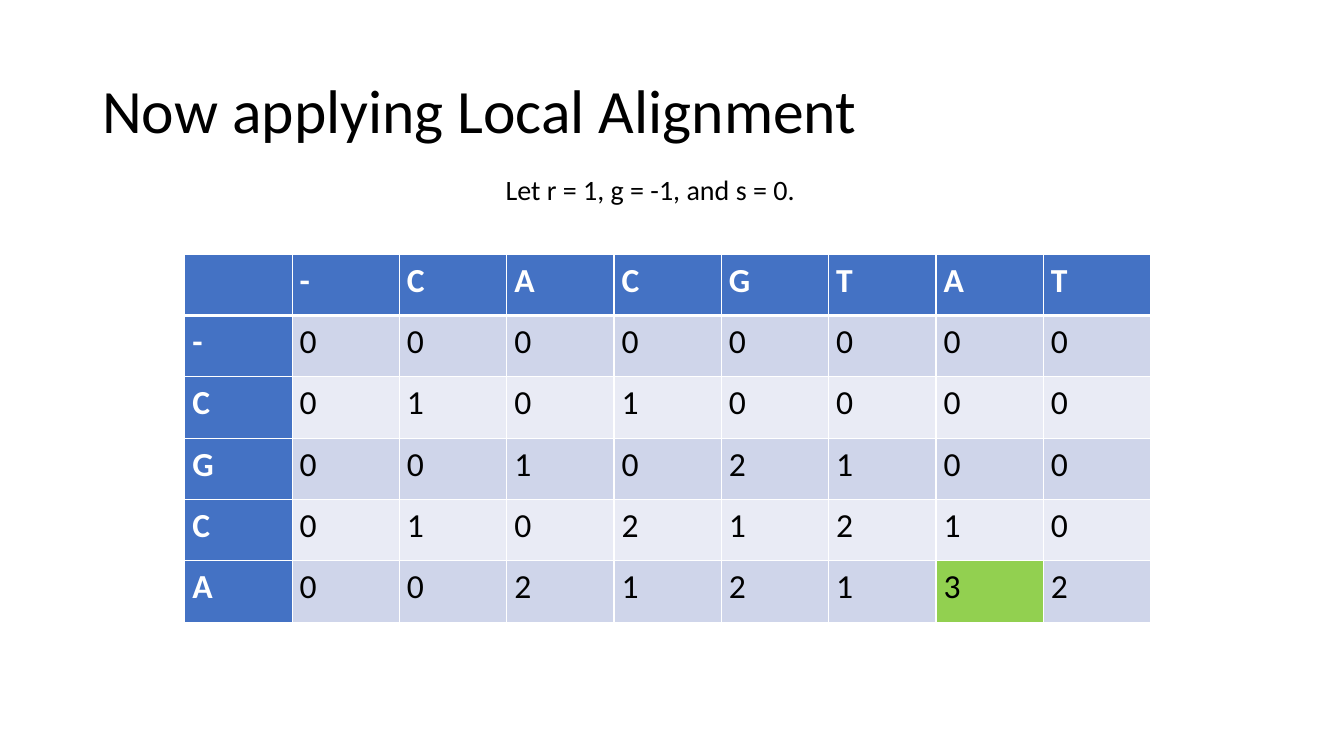
from lxml import etree
from pptx import Presentation
from pptx import util as u
from pptx.dml.color import RGBColor
from pptx.enum import text
from pptx.oxml import ns

BLACK = RGBColor(0x00, 0x00, 0x00)
WHITE = RGBColor(0xFF, 0xFF, 0xFF)
BLUE = RGBColor(0x44, 0x72, 0xC4)
BAND_DARK = RGBColor(0xCF, 0xD5, 0xEA)
BAND_LIGHT = RGBColor(0xE9, 0xEB, 0xF5)
GREEN = RGBColor(0x92, 0xD0, 0x50)

COLUMN_LETTERS = "-CACGTAT"
ROW_LETTERS = "-CGCA"
SCORES = ["00000000", "01010000", "00102100", "01021210", "00212132"]
BEST = (5, 7)


class Deck:
    font = "Calibri"

    def __init__(self, width, height):
        self.prs = Presentation()
        self.prs.slide_width, self.prs.slide_height = u.Pt(width), u.Pt(height)
        self.s = self.prs.slides.add_slide(self.prs.slide_layouts[6])

    def style(self, p, size, color=BLACK, bold=False, spacing=1.0):
        p.font.name, p.font.size, p.font.bold = self.font, u.Pt(size), bold
        p.font.color.rgb = color
        p.line_spacing = spacing

    def text_box(self, words, left, top, width, height, size,
                 anchor=text.MSO_ANCHOR.TOP, spacing=1.0):
        sp = self.s.shapes.add_textbox(*map(u.Pt, (left, top, width, height)))
        tf = sp.text_frame
        tf.word_wrap = True
        tf.vertical_anchor = anchor
        tf.text = words
        self.style(tf.paragraphs[0], size, spacing=spacing)

    def border(self, cell, side, width):
        tc_pr = cell._tc.get_or_add_tcPr()
        ln = etree.SubElement(tc_pr, ns.qn(f"a:ln{side}"), w=str(u.Pt(width)))
        fill = etree.SubElement(ln, ns.qn("a:solidFill"))
        etree.SubElement(fill, ns.qn("a:srgbClr"), val=str(WHITE))

    def cell(self, cell, words, fill, color, bold, top=1, bottom=1):
        cell.margin_left = cell.margin_right = u.Pt(5.4)
        cell.margin_top = cell.margin_bottom = 0
        for side, width in zip("LRTB", (1, 1, top, bottom)):
            self.border(cell, side, width)
        cell.fill.solid()
        cell.fill.fore_color.rgb = fill
        cell.text = words
        self.style(cell.text_frame.paragraphs[0], 24, color, bold, 1.15)

    def score_table(self, left, top, width, height):
        grid = [["", *COLUMN_LETTERS]]
        grid += [[letter, *row] for letter, row in zip(ROW_LETTERS, SCORES)]
        rows, cols = len(grid), len(grid[0])
        table = self.s.shapes.add_table(
            rows, cols, *map(u.Pt, (left, top, width, height))).table
        for i, row in enumerate(grid):
            for j, words in enumerate(row):
                header = i == 0 or j == 0
                if header:
                    fill = BLUE
                elif (i, j) == BEST:
                    fill = GREEN
                else:
                    fill = BAND_DARK if i % 2 else BAND_LIGHT
                self.cell(table.cell(i, j), words, fill,
                          WHITE if header else BLACK, header,
                          top=3 if i == 1 else 1, bottom=3 if i == 0 else 1)


def main():
    deck = Deck(960, 540)
    deck.text_box("Now applying Local Alignment", 66, 28.75, 828, 104.4, 44,
                  text.MSO_ANCHOR.MIDDLE, 0.9)
    deck.score_table(132, 181.5, 690, 263)
    deck.text_box("Let r = 1, g = -1, and s = 0.", 354, 120, 300, 31.5, 20)
    deck.prs.save("out.pptx")


if __name__ == "__main__":
    main()
